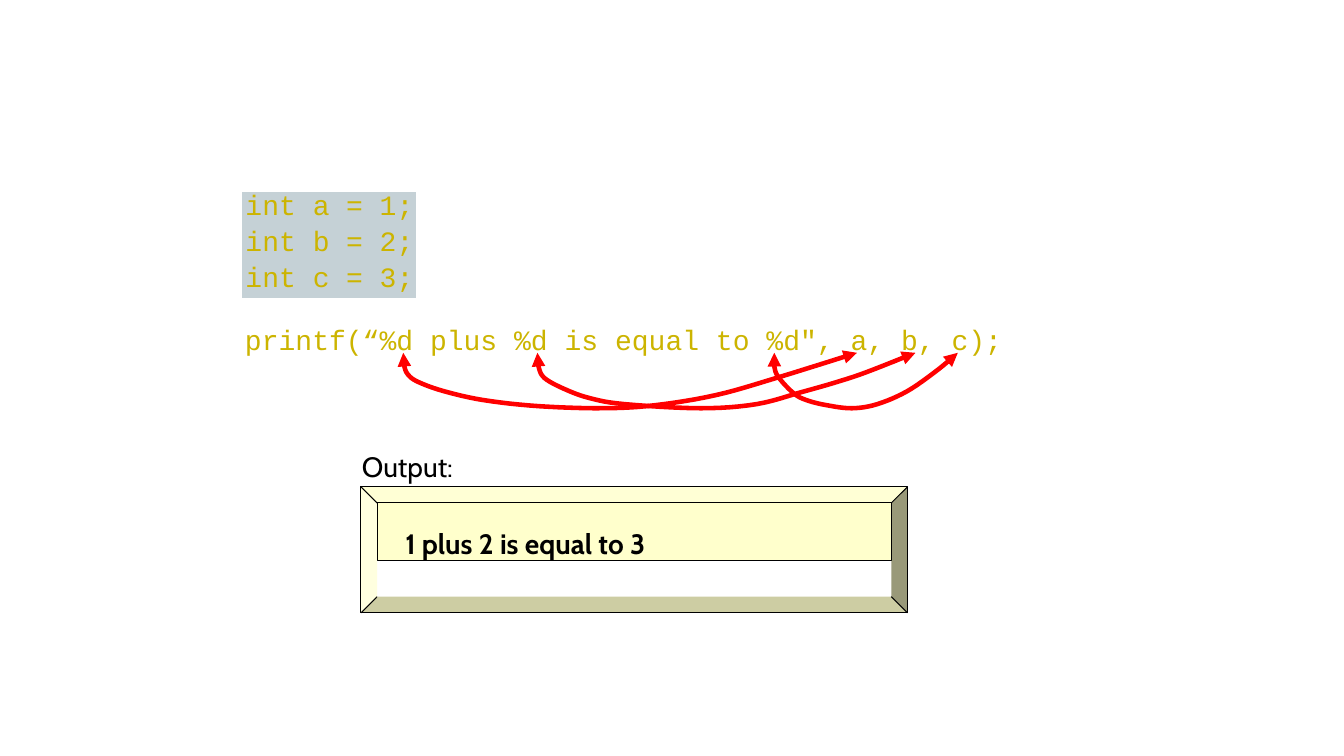
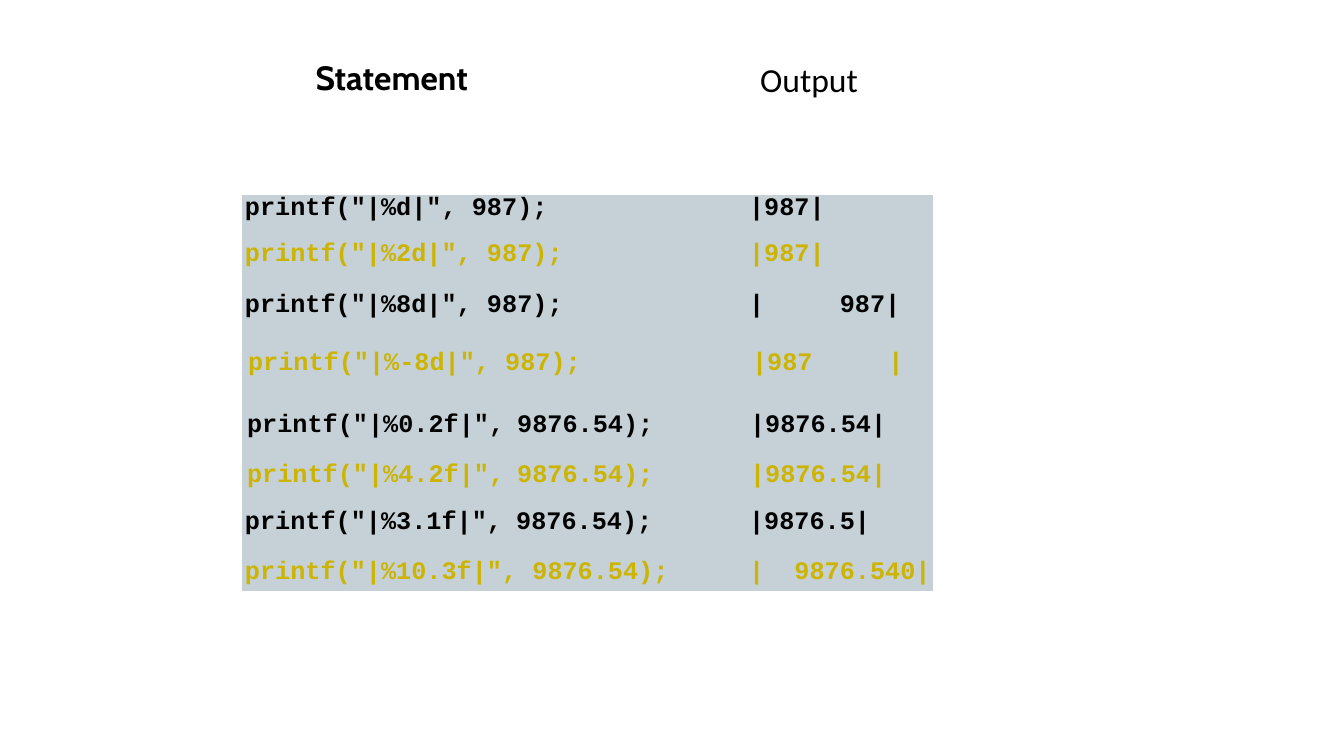
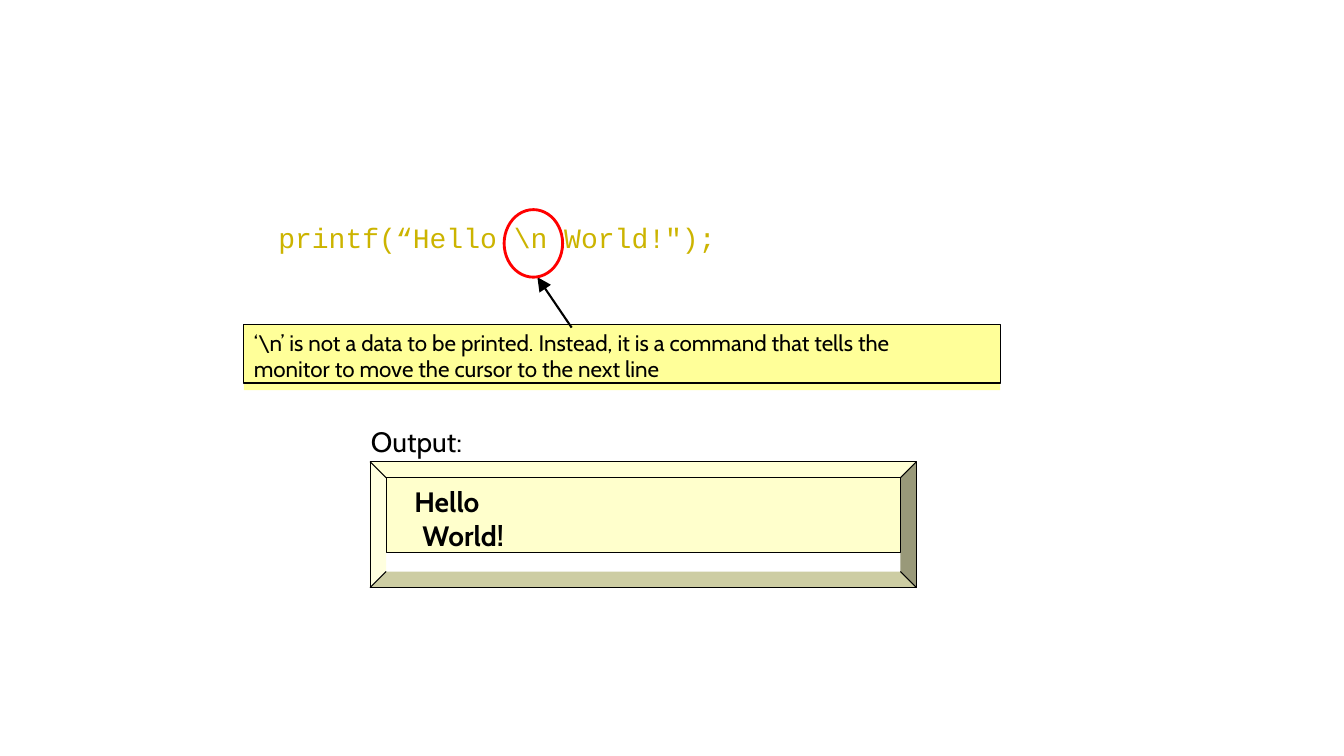
"""Three slides on printf: placeholders, field widths and the newline command."""
from lxml import etree
from pptx import Presentation
from pptx import util as u
from pptx.dml.color import RGBColor
from pptx.enum import shapes, text
from pptx.oxml.ns import qn

BLACK = RGBColor(0x00, 0x00, 0x00)
GOLD = RGBColor(0xCC, 0xB4, 0x00)
RED = RGBColor(0xFF, 0x00, 0x00)
SLATE = RGBColor(0xC5, 0xD1, 0xD6)
CREAM = RGBColor(0xFF, 0xFF, 0xCC)
LEMON = RGBColor(0xFF, 0xFF, 0x99)
BEVEL_SIDES = {
    "top": RGBColor(0xFF, 0xFF, 0xD5),
    "right": RGBColor(0x99, 0x99, 0x79),
    "bottom": RGBColor(0xCD, 0xCD, 0xA3),
    "left": RGBColor(0xFF, 0xFF, 0xDF),
}
PLAIN_GRID = "{2D5ABB26-0587-4C30-8999-92F81FD0307C}"
LEFT, RIGHT, CENTER = text.PP_ALIGN.LEFT, text.PP_ALIGN.RIGHT, text.PP_ALIGN.CENTER

CODE = dict(name="Courier New", size=u.Pt(20), bold=False, color=GOLD)
TABLE_CODE = dict(CODE, size=u.Pt(18), bold=True)
LABEL = dict(name="Cabin", size=u.Pt(20), bold=False, color=BLACK)
RESULT = dict(LABEL, bold=True)
NOTE = dict(LABEL, size=u.Pt(16))
HEADING = dict(RESULT, size=u.Pt(24))
OUTPUT_HEADING = dict(HEADING, name="Calibri", bold=False)

DECLARATIONS = [("int", "a", "=", "1;"), ("int", "b", "=", "2;"), ("int", "c", "=", "3;")]
DECLARATION_COLUMNS = [0.62, 0.33, 0.33, 0.45]
DECLARATION_ROWS = [0.32, 0.33, 0.32]
DECLARATION_GAPS = [0.05, 0.08, 0.08, 0.03]

ARGUMENT_CURVES = [
    [(4, 3.5), (4.01, 3.63), (4.05, 3.72), (4.15, 3.79), (4.4, 3.88), (4.8, 3.97),
     (5.35, 4.03), (5.99, 4.05), (6.5, 4.02), (7.1, 3.92), (7.7, 3.75), (8.5, 3.5)],
    [(5.33, 3.5), (5.34, 3.63), (5.4, 3.75), (5.6, 3.86), (5.85, 3.95), (6.2, 4.01),
     (6.95, 4.05), (7.5, 4.01), (7.95, 3.89), (8.3, 3.79), (8.6, 3.69), (9.08, 3.5)],
    [(7.68, 3.5), (7.68, 3.63), (7.72, 3.74), (7.87, 3.9), (8, 3.97), (8.2, 4.02),
     (8.45, 4.05), (8.7, 4.01), (9, 3.88), (9.3, 3.67), (9.5, 3.5)],
]

WIDTH_COLUMNS = [2.65, 1.97, 0.71, 0.52, 1]
WIDTH_ROWS = [
    (0.39, 0, [(0, 1, 'printf("|%d|", 987);', 0.03), (2, 3, "|987|", 0.41)]),
    (0.5, 0.07, [(0, 1, 'printf("|%2d|", 987);', 0.03), (2, 3, "|987|", 0.41)]),
    (0.54, 0.07, [(0, 1, 'printf("|%8d|", 987);', 0.03), (2, 3, "|", 0.41),
                  (4, 4, "987|", -0.32)]),
    (0.43, 0.11, [(0, 1, 'printf("|%-8d|", 987);', 0.06), (2, 3, "|987", 0.44),
                  (4, 4, "|", -0.29)]),
    (0.73, 0.29, [(0, 0, 'printf("|%0.2f|",', 0.05), (1, 1, "9876.54);", 0.08),
                  (2, 4, "|9876.54|", 0.42)]),
    (0.48, 0.06, [(0, 0, 'printf("|%4.2f|",', 0.05), (1, 1, "9876.54);", 0.08),
                  (2, 4, "|9876.54|", 0.42)]),
    (0.37, 0.05, [(0, 0, 'printf("|%3.1f|",', 0.03), (1, 1, "9876.54);", 0.07),
                  (2, 4, "|9876.5|", 0.41)]),
    (0.49, 0.17, [(0, 1, 'printf("|%10.3f|", 9876.54);', 0.03), (2, 2, "|", 0.41),
                  (3, 4, "9876.540|", 0.15)]),
]


def inches(*lengths):
    return [u.Inches(length) for length in lengths]


def set_all(target, values):
    for key, value in values.items():
        setattr(target, key, value)


def write(frame, words, style, align=LEFT, spacing=1.0, hanging=0):
    """Fill a frame or a cell with one styled paragraph."""
    paragraph = frame.paragraphs[0]
    paragraph.text = words
    set_all(paragraph, dict(alignment=align, line_spacing=spacing))
    if hanging:
        properties = paragraph._p.get_or_add_pPr()
        properties.set("marL", str(u.Inches(hanging)))
        properties.set("indent", str(-u.Inches(hanging)))
    for run in paragraph.runs:
        set_all(run.font, {key: style[key] for key in ("name", "size", "bold")})
        run.font.color.rgb = style["color"]


def write_box(shape, words, style, inset=(0.01, 0.01), anchor=text.MSO_ANCHOR.TOP, **layout):
    left, top = inches(*inset)
    set_all(shape.text_frame, dict(
        word_wrap=True, auto_size=text.MSO_AUTO_SIZE.SHAPE_TO_FIT_TEXT, vertical_anchor=anchor,
        margin_left=left, margin_top=top, margin_right=0, margin_bottom=0))
    write(shape.text_frame, words, style, **layout)


def add_titled_slide(deck, words, box, style, **layout):
    slide = deck.slides.add_slide(deck.slide_layouts[5])
    title = slide.shapes.title
    set_all(title, dict(zip(("left", "top", "width", "height"), inches(*box))))
    write_box(title, words, style, anchor=text.MSO_ANCHOR.MIDDLE, **layout)
    return slide


def add_label(slide, words, box, style):
    write_box(slide.shapes.add_textbox(*inches(*box)), words, style)


def paint(shape, fill=None, line=None, width=0.75):
    shape.shadow.inherit = False
    if fill is None:
        shape.fill.background()
    else:
        shape.fill.solid()
        shape.fill.fore_color.rgb = fill
    if line is None:
        shape.line.fill.background()
    else:
        shape.line.color.rgb = line
        shape.line.width = u.Pt(width)
    return shape


def add_preset(slide, preset, box, **look):
    return paint(slide.shapes.add_shape(preset, *inches(*box)), **look)


def add_outline(slide, strokes, **look):
    """Draw (points, closed) strokes as one freeform."""
    builder = None
    for points, closed in strokes:
        start, *others = [inches(*point) for point in points]
        if builder is None:
            builder = slide.shapes.build_freeform(*start, scale=1.0)
        else:
            builder.move_to(*start)
        builder.add_line_segments(others, close=closed)
    return paint(builder.convert_to_shape(), **look)


def add_arrowheads(shape, ends, size):
    line = shape.line._get_or_add_ln()
    for end in ends:
        etree.SubElement(line, qn("a:" + end), type="triangle", w=size, len=size)


def smooth(points, steps=6):
    """Return a Catmull-Rom curve through the points."""
    padded = [points[0], *points, points[-1]]
    curve = [points[0]]
    for a, b, c, d in zip(padded, padded[1:], padded[2:], padded[3:]):
        for step in range(1, steps + 1):
            t = step / steps
            curve.append(tuple(
                (2 * q + (r - p) * t + (2 * p - 5 * q + 4 * r - s) * t ** 2
                 + (3 * q - p - 3 * r + s) * t ** 3) / 2
                for p, q, r, s in zip(a, b, c, d)))
    return curve


def add_output_panel(slide, left, top, words, height, inset, hanging=0):
    """Draw the bevelled frame with its label and the printed result."""
    width, depth, rim = 5.42, 1.25, 0.16

    def corners(gap):
        x, y = left + gap, top + gap
        right, bottom = left + width - gap, top + depth - gap
        return [(x, y), (right, y), (right, bottom), (x, bottom)]

    outer, inner = corners(0), corners(rim)
    for side, color in enumerate(BEVEL_SIDES.values()):
        after = (side + 1) % 4
        edge = [outer[side], outer[after], inner[after], inner[side]]
        add_outline(slide, [(edge, True)], fill=color)
    add_outline(slide, [(outer, True)] + [(pair, False) for pair in zip(outer, inner)],
                line=BLACK)
    screen = add_preset(slide, shapes.MSO_SHAPE.RECTANGLE,
                        (*inner[0], width - 2 * rim, height), fill=CREAM, line=BLACK)
    write_box(screen, words, RESULT, inset=inset, hanging=hanging)
    add_label(slide, "Output:", (left, top - 0.38, 1, 0.36), LABEL)


def add_grid(slide, left, top, columns, rows):
    table = slide.shapes.add_table(len(rows), len(columns),
                                   *inches(left, top, sum(columns), sum(rows))).table
    set_all(table, dict(first_row=False, horz_banding=False))
    table._tbl.tblPr.find(qn("a:tableStyleId")).text = PLAIN_GRID
    for column, width in zip(table.columns, columns):
        column.width = u.Inches(width)
    for row, height in zip(table.rows, rows):
        row.height = u.Inches(height)
    for cell in table.iter_cells():
        set_all(cell, dict(margin_left=0, margin_top=0, margin_right=0, margin_bottom=0))
        cell.fill.solid()
        cell.fill.fore_color.rgb = SLATE
    return table


def build_placeholders(deck):
    slide = add_titled_slide(deck, 'printf(“%d plus %d is equal to %d", a, b, c);',
                             (2.42, 3.17, 7.53, 0.36), CODE, spacing=1.07)
    table = add_grid(slide, 2.4, 1.9, DECLARATION_COLUMNS, DECLARATION_ROWS)
    for r, tokens in enumerate(DECLARATIONS):
        for c, (token, gap) in enumerate(zip(tokens, DECLARATION_GAPS)):
            cell = table.cell(r, c)
            cell.margin_right = u.Inches(gap)
            write(cell.text_frame, token, CODE, align=RIGHT if c else CENTER,
                  spacing=1.07 if r else 1.03)
    add_output_panel(slide, 3.58, 4.83, "1 plus 2 is equal to 3", 0.57, (0.28, 0.23))
    for curve in ARGUMENT_CURVES:
        arrow = add_outline(slide, [(smooth(curve), False)], line=RED, width=3.25)
        add_arrowheads(arrow, ("headEnd", "tailEnd"), "med")


def build_widths(deck):
    slide = add_titled_slide(deck, "Output", (7.53, 0.56, 1.11, 0.43), OUTPUT_HEADING)
    add_label(slide, "Statement", (3.12, 0.56, 1.64, 0.43), HEADING)
    table = add_grid(slide, 2.4, 1.93, WIDTH_COLUMNS, [height for height, _, _ in WIDTH_ROWS])
    table.cell(0, 4).merge(table.cell(1, 4))
    for r, (_, drop, parts) in enumerate(WIDTH_ROWS):
        style = dict(TABLE_CODE, color=GOLD if r % 2 else BLACK)
        for first, last, words, indent in parts:
            cell = table.cell(r, first)
            if last > first:
                cell.merge(table.cell(r, last))
            side = "margin_left" if indent > 0 else "margin_right"
            set_all(cell, {"margin_top": u.Inches(drop), side: u.Inches(abs(indent))})
            write(cell.text_frame, words, style, align=LEFT if indent > 0 else RIGHT)


def build_newline(deck):
    slide = add_titled_slide(deck, 'printf(“Hello \\n World!");', (2.75, 2.17, 4.36, 0.36), CODE)
    add_output_panel(slide, 3.67, 4.58, "Hello\vWorld!", 0.74, (0.28, 0.07), hanging=0.08)
    add_preset(slide, shapes.MSO_SHAPE.RECTANGLE, (2.42, 3.22, 7.5, 0.65), fill=LEMON)
    note = add_preset(slide, shapes.MSO_SHAPE.RECTANGLE, (2.42, 3.22, 7.5, 0.58), line=BLACK)
    write_box(note, "‘\\n’ is not a data to be printed. Instead, it is a command that tells the\v"
              "monitor to move the cursor to the next line", NOTE, inset=(0.1, 0.04))
    pointer = slide.shapes.add_connector(shapes.MSO_CONNECTOR.STRAIGHT,
                                         *inches(5.67, 3.25, 5.33, 2.75))
    pointer.line.color.rgb = BLACK
    pointer.line.width = u.Pt(1.5)
    add_arrowheads(pointer, ("tailEnd",), "lg")
    etree.SubElement(pointer._element.spPr, qn("a:effectLst"))
    add_preset(slide, shapes.MSO_SHAPE.OVAL, (5, 2.08, 0.58, 0.67), line=RED, width=2.04)


def main():
    deck = Presentation()
    deck.slide_width, deck.slide_height = inches(13.33, 7.5)
    for build in (build_placeholders, build_widths, build_newline):
        build(deck)
    deck.save("out.pptx")


if __name__ == "__main__":
    main()
